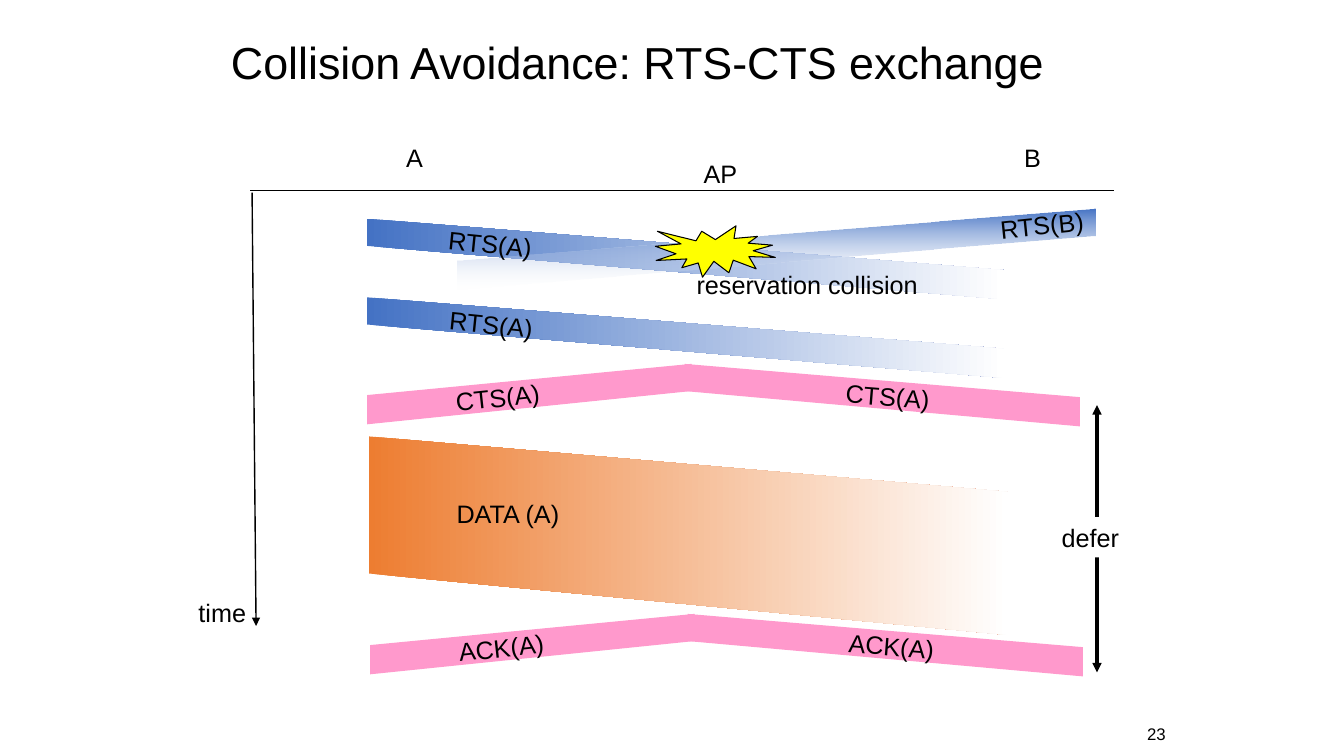
from dataclasses import dataclass

from lxml.etree import SubElement
from pptx import Presentation
from pptx.dml.color import RGBColor as RGB
from pptx.enum.shapes import MSO_CONNECTOR as LINE, MSO_SHAPE as SHAPE
from pptx.enum.text import MSO_ANCHOR as ANCHOR, MSO_AUTO_SIZE as SIZE, PP_ALIGN as ALIGN
from pptx.oxml.ns import qn
from pptx.util import Inches, Pt


@dataclass(frozen=True)
class Theme:
    font: str = "Arial"
    ink: RGB = RGB(0, 0, 0)
    paper: RGB = RGB(255, 255, 255)
    request: RGB = RGB(0x44, 0x72, 0xC4)
    reply: RGB = RGB(0xFF, 0x99, 0xCC)
    data: RGB = RGB(0xED, 0x7D, 0x31)
    burst: RGB = RGB(0xFF, 0xFF, 0)
    title: Pt = Pt(32)
    body: Pt = Pt(18)
    small: Pt = Pt(12)


THEME = Theme()


def write(frame, text, size=THEME.body, align=ALIGN.LEFT):
    para = frame.paragraphs[0]
    para.text = text
    para.alignment = align
    font = para.runs[0].font
    for key, value in {"name": THEME.font, "size": size}.items():
        setattr(font, key, value)
    font.color.rgb = THEME.ink
    return para


def add_title(slide, text):
    title = slide.shapes.title
    place = {"left": 2.19, "top": 0.13, "width": 8.5, "height": 1.03}
    for key, value in place.items():
        setattr(title, key, Inches(value))
    title.text_frame.vertical_anchor = ANCHOR.MIDDLE
    write(title.text_frame, text, THEME.title).line_spacing = 0.9


def add_label(slide, text, left, top, width, turn=0, wrap=False):
    box = slide.shapes.add_textbox(*map(Inches, (left, top, width, 0.4)))
    box.rotation = turn
    box.text_frame.word_wrap = wrap
    box.text_frame.auto_size = SIZE.SHAPE_TO_FIT_TEXT
    write(box.text_frame, text)
    return box


def add_number(slide, text):
    box = slide.shapes.add_textbox(*map(Inches, (10.91, 7.13, 0.75, 0.3)))
    box.text_frame.word_wrap = True
    box.text_frame.vertical_anchor = ANCHOR.MIDDLE
    write(box.text_frame, text, THEME.small, ALIGN.RIGHT)


def add_line(slide, start, end, width, **heads):
    """Draw a line; heads gives headEnd and tailEnd arrow types."""
    line = slide.shapes.add_connector(LINE.STRAIGHT, *map(Inches, (*start, *end)))
    line.line.width = Pt(width)
    line.line.color.rgb = THEME.ink
    for name, kind in heads.items():
        SubElement(line.line._get_or_add_ln(), qn(f"a:{name}"), type=kind)
    SubElement(line._element.spPr, qn("a:effectLst"))


def add_band(slide, x, y, run, near, far, color):
    """Draw a slanted band from (x, y); near and far are (top, bottom) drops."""
    points = [(x + run, y + far[0]), (x + run, y + far[1]), (x, y + near[1]), (x, y + near[0])]
    points = [(Inches(px), Inches(py)) for px, py in points]
    build = slide.shapes.build_freeform(*points[-1])
    build.add_line_segments(points[:-1])
    band = build.convert_to_shape()
    band.shadow.inherit = False
    band.line.fill.background()
    band.fill.solid()
    band.fill.fore_color.rgb = color
    return band


def fade(band, color, angle=0, alpha=None):
    """Blend the band from color to paper, with alpha in percent at the end."""
    band.fill.gradient()
    band.fill.gradient_angle = angle
    stops = band.fill.gradient_stops
    for stop, place, tint in zip(stops, (0, 1), (color, THEME.paper)):
        stop.position = place
        stop.color.rgb = tint
    if alpha is not None:
        tint = band._element.spPr.findall(f".//{qn('a:srgbClr')}")[-1]
        SubElement(tint, qn("a:alpha"), val=str(alpha * 1000))


def add_reply(slide, text, peak, y):
    """Draw an answer that spreads from the access point to both stations."""
    add_band(slide, peak - 0.07, y, 3.92, (0, 0.27), (0.33, 0.62), THEME.reply)
    add_band(slide, peak, y, -3.22, (0, 0.27), (0.31, 0.6), THEME.reply)
    add_label(slide, text, peak - 2.44, y + 0.13, 1.06, -6.3)
    add_label(slide, text, peak + 1.43, y + 0.12, 1.06, 4.6)


def add_burst(slide):
    burst = slide.shapes.add_shape(SHAPE.EXPLOSION1, *map(Inches, (6.5, 2.24, 1.19, 0.51)))
    burst.shadow.inherit = False
    burst.fill.solid()
    burst.fill.fore_color.rgb = THEME.burst
    burst.line.color.rgb = THEME.ink
    burst.line.width = Pt(0.75)
    add_label(slide, "reservation collision", 6.81, 2.62, 3.09, wrap=True)


def add_defer(slide):
    add_line(slide, (10.88, 4.02), (10.88, 6.67), 2.25, headEnd="triangle", tailEnd="triangle")
    box = add_label(slide, "defer", 10.43, 5.13, 0.78)
    box.fill.solid()
    box.fill.fore_color.rgb = THEME.paper


def main():
    deck = Presentation()
    deck.slide_width, deck.slide_height = Inches(13.33), Inches(7.5)
    slide = deck.slides.add_slide(deck.slide_layouts[5])
    add_title(slide, "Collision Avoidance: RTS-CTS exchange")

    for text, left, top, width in (
        ("AP", 6.88, 1.52, 0.54), ("A", 3.93, 1.36, 0.38),
        ("B", 10.06, 1.36, 0.37), ("time", 1.87, 5.88, 0.68),
    ):
        add_label(slide, text, left, top, width)
    add_line(slide, (2.5, 1.91), (2.54, 6.21), 1, tailEnd="triangle")
    add_line(slide, (2.48, 1.89), (11.05, 1.89), 0.75)

    for x, y, run, angle, alpha in (
        (3.64, 2.17, 6.32, 0, None),
        (10.86, 2.07, -6.32, 270, 6),
        (3.64, 2.95, 6.32, 0, None),
    ):
        band = add_band(slide, x, y, run, (0, 0.27), (0.51, 0.8), THEME.request)
        fade(band, THEME.request, angle, alpha)
    for text, left, top, width, turn in (
        ("RTS(A)", 4.35, 2.22, 1.07, 5.9),
        ("RTS(B)", 9.82, 2.03, 1.04, -5.9),
        ("RTS(A)", 4.36, 3.02, 1.07, 5.9),
    ):
        add_label(slide, text, left, top, width, turn)

    add_reply(slide, "CTS(A)", 6.86, 3.61)
    data = add_band(slide, 3.66, 4.33, 6.34, (0, 1.36), (0.55, 1.97), THEME.data)
    fade(data, THEME.data)
    add_label(slide, "DATA (A)", 4.43, 4.89, 1.97, wrap=True)
    add_reply(slide, "ACK(A)", 6.89, 6.09)
    add_burst(slide)
    add_defer(slide)
    add_number(slide, "23")
    deck.save("out.pptx")


if __name__ == "__main__":
    main()
